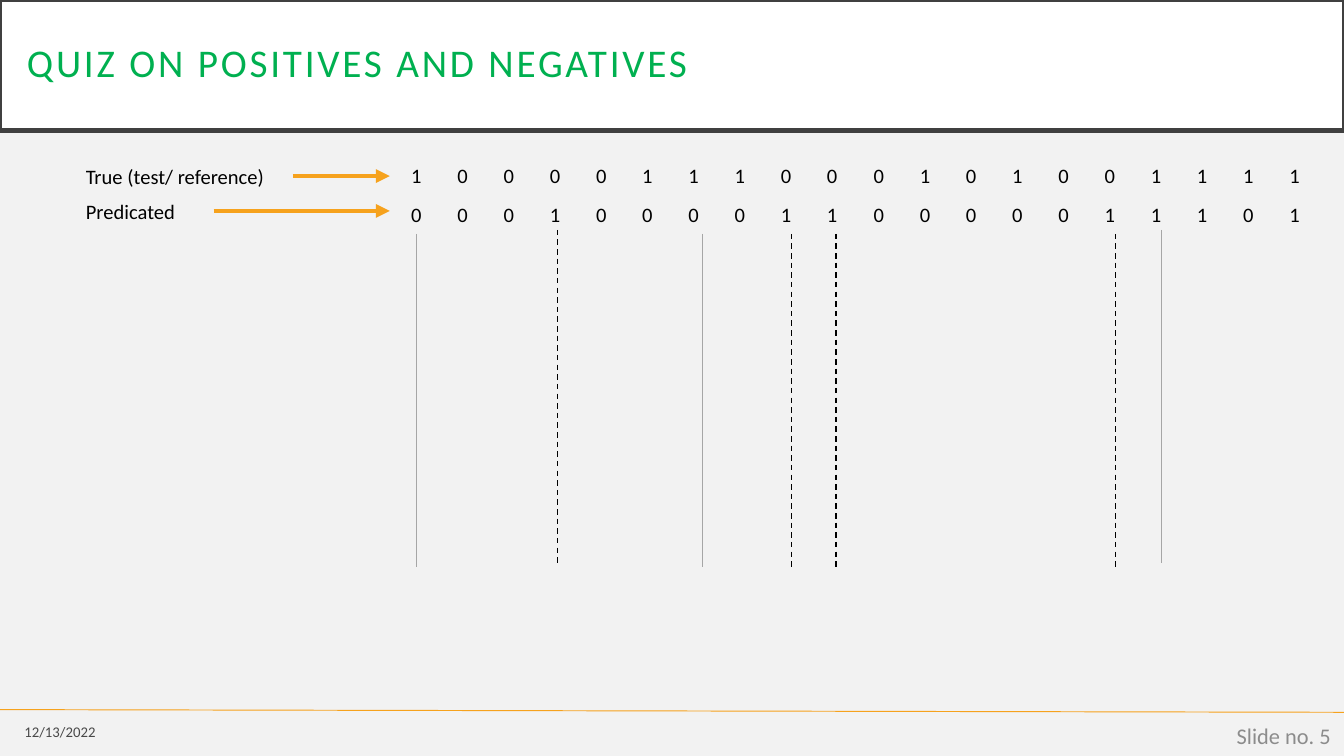
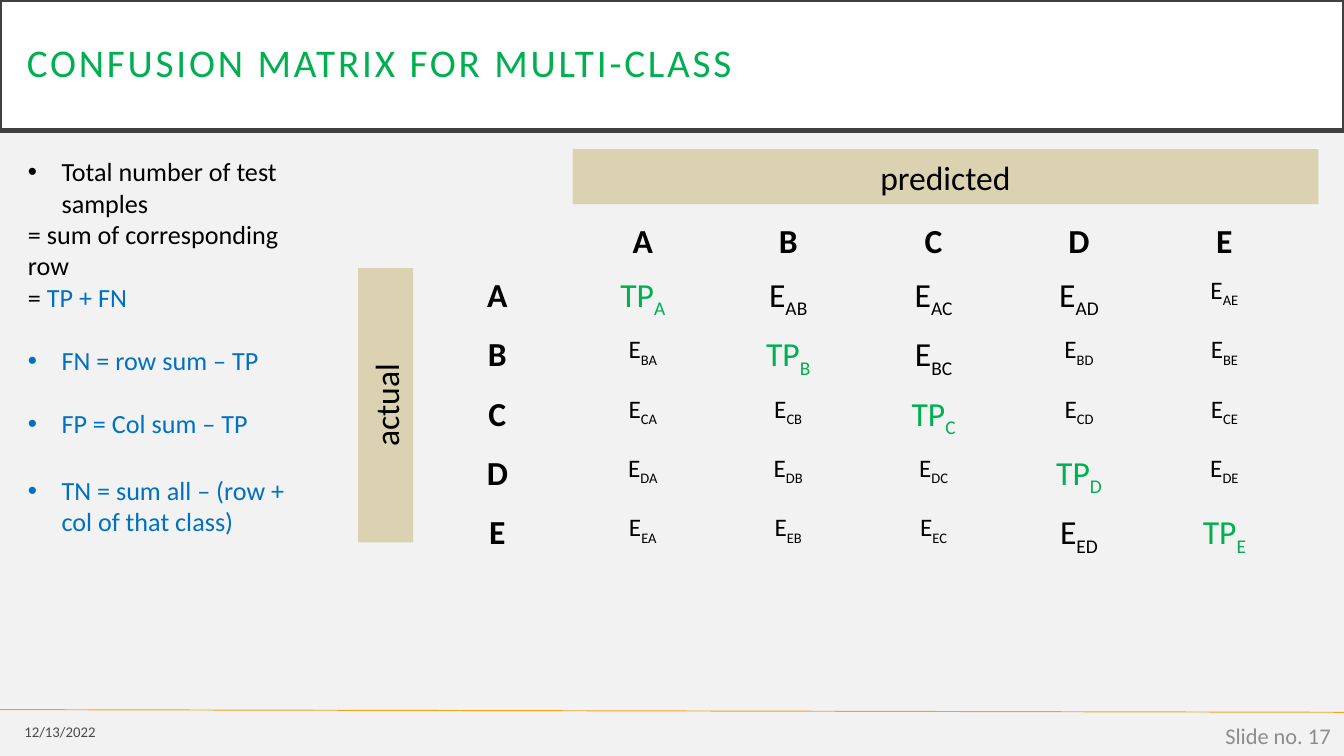
from lxml.etree import SubElement
from pptx import Presentation
from pptx.dml.color import RGBColor
from pptx.enum.dml import MSO_LINE
from pptx.enum.shapes import MSO_CONNECTOR, MSO_SHAPE
from pptx.enum.text import MSO_ANCHOR, MSO_AUTO_SIZE, PP_ALIGN
from pptx.oxml.ns import qn
from pptx.util import Inches, Pt

COLS, ROWS = 100, 56.25
UNIT = Inches(0.1)
FONT = "Calibri"
PLAIN = "{2D5ABB26-0587-4C30-8999-92F81FD0307C}"

BLACK = RGBColor(0x00, 0x00, 0x00)
WHITE = RGBColor(0xFF, 0xFF, 0xFF)
PAPER = RGBColor(0xF2, 0xF2, 0xF2)
FRAME = RGBColor(0x40, 0x40, 0x40)
GREEN = RGBColor(0x00, 0xB0, 0x50)
BLUE = RGBColor(0x00, 0x70, 0xC0)
AMBER = RGBColor(0xF6, 0xA2, 0x1D)
GREY = RGBColor(0xA6, 0xA6, 0xA6)
MUTED = RGBColor(0x8C, 0x8C, 0x8C)
SAND = RGBColor(0xDA, 0xD2, 0xB0)

TRUTH = "10000111000101001111"
GUESS = "00010000110000011101"
HALF = 10
DIGIT = 3.44
LABELS = [("True (test/ reference)", 11.7, 21.8, 13.1), ("Predicated", 14.3, 15.9, 15.7)]
SOLID = [(31, 17.4), (52.3, 17.4), (86.4, 17.1)]
DASHED = [(41.5, 17.1), (58.9, 17.4), (62.2, 17.4), (83, 17.4)]
DROP = 24.8

NAMES = "ABCDE"
LARGE = {"AB", "AC", "AD", "BC", "ED"}
NOTES = [
    (True, 0, [("Total number of test samples", BLACK)]),
    (False, 0, [("= sum of corresponding row", BLACK)]),
    (False, 0, [("= ", BLACK), ("TP + FN", BLUE)]),
    (True, 17, [("FN = row sum – TP", BLUE)]),
    (True, 17, [("FP = Col sum – TP", BLUE)]),
    (True, 19, [("TN = sum all – (row + col of that class)", BLUE)]),
]


def grid(*units):
    return [round(unit * UNIT) for unit in units]


def add_run(par, text, size, color=BLACK, bold=False, sub=False):
    run = par.add_run()
    run.text = text
    run.font.name = FONT
    run.font.size = Pt(size)
    run.font.bold = bold
    run.font.color.rgb = color
    if sub:
        run._r.get_or_add_rPr().set("baseline", "-25000")
    return run


def add_text(slide, box, text, size, color=BLACK, align=PP_ALIGN.LEFT, anchor=MSO_ANCHOR.TOP):
    frame = slide.shapes.add_textbox(*grid(*box)).text_frame
    frame.word_wrap = True
    frame.vertical_anchor = anchor
    par = frame.paragraphs[0]
    par.alignment = align
    return add_run(par, text, size, color)


def add_line(slide, start, end, color, width, dash=False, arrow=False):
    line = slide.shapes.add_connector(MSO_CONNECTOR.STRAIGHT, *grid(*start, *end))
    line.line.color.rgb = color
    line.line.width = Pt(width)
    if dash:
        line.line.dash_style = MSO_LINE.DASH
    if arrow:
        SubElement(line.line._get_or_add_ln(), qn("a:tailEnd"), type="triangle")
    SubElement(line._element.spPr, qn("a:effectLst"))


def add_band(slide, box, text, turn=0):
    band = slide.shapes.add_shape(MSO_SHAPE.RECTANGLE, *grid(*box))
    band.shadow.inherit = False
    band.fill.solid()
    band.fill.fore_color.rgb = SAND
    band.line.fill.background()
    band.rotation = turn
    par = band.text_frame.paragraphs[0]
    par.alignment = PP_ALIGN.CENTER
    add_run(par, text, 18)


def add_grid(slide, left, top, rows, cols, width, height):
    box = grid(left, top, cols * width, rows * height)
    table = slide.shapes.add_table(rows, cols, *box).table
    table.first_row = table.horz_banding = False
    table._tbl.tblPr.find(qn("a:tableStyleId")).text = PLAIN
    for col in table.columns:
        col.width = grid(width)[0]
    for row in table.rows:
        row.height = grid(height)[0]
    for cell in table.iter_cells():
        cell.fill.background()
    return table


def add_page(deck, title, number):
    slide = deck.slides.add_slide(deck.slide_layouts[5])
    add_line(slide, (0, 52.8), (COLS, 53), AMBER, 0.5)
    head = slide.shapes.title
    head.left, head.top, head.width, head.height = grid(0, 0, COLS, 9.7)
    head.fill.solid()
    head.fill.fore_color.rgb = WHITE
    head.line.color.rgb = FRAME
    head.line.width = Pt(2.5)
    frame = head.text_frame
    frame.auto_size = MSO_AUTO_SIZE.NONE
    frame.word_wrap = True
    frame.vertical_anchor = MSO_ANCHOR.MIDDLE
    frame.margin_left, frame.margin_top, frame.margin_right, frame.margin_bottom = grid(2, 2, 2, 2)
    par = frame.paragraphs[0]
    par.alignment = PP_ALIGN.LEFT
    par.line_spacing = 0.9
    run = add_run(par, title, 21, GREEN)
    run._r.get_or_add_rPr().set("spc", "150")
    date = add_text(slide, (0, 53.1, 8.1, 2.7), "12/13/2022", 7.9, BLACK,
                    PP_ALIGN.RIGHT, MSO_ANCHOR.MIDDLE)
    tint = date._r.rPr.find(qn("a:solidFill"))[0]
    SubElement(tint, qn("a:alpha"), val="70000")
    add_text(slide, (77.5, 53.2, 22.5, 3), f"Slide no. {number}", 12, MUTED,
             PP_ALIGN.RIGHT, MSO_ANCHOR.MIDDLE)
    return slide


def add_quiz(deck):
    slide = add_page(deck, "QUIZ ON POSITIVES AND NEGATIVES", 5)
    for start in range(0, len(TRUTH), HALF):
        table = add_grid(slide, 29.6 + start * DIGIT, 11.7, 2, HALF, DIGIT, 2.86)
        for row, digits in enumerate((TRUTH, GUESS)):
            for col, digit in enumerate(digits[start:start + HALF]):
                add_run(table.cell(row, col).text_frame.paragraphs[0], digit, 11)
    for text, top, tail, level in LABELS:
        add_text(slide, (5.4, top, 16.4, 2.9), text, 11)
        add_line(slide, (tail, level), (29, level), AMBER, 2.5, arrow=True)
    for left, top in SOLID:
        add_line(slide, (left, top), (left, top + DROP), GREY, 0.5)
    for left, top in DASHED:
        add_line(slide, (left, top), (left, top + DROP), BLACK, 0.75, dash=True)


def fill_cell(cell, row, col):
    par = cell.text_frame.paragraphs[0]
    par.alignment = PP_ALIGN.CENTER
    if not row or not col:
        add_run(par, NAMES[max(row, col) - 1], 18, bold=True)
        return
    actual, guess = NAMES[row - 1], NAMES[col - 1]
    if row == col:
        base, sub, size, color = "TP", actual, 18, GREEN
    else:
        base, sub, color = "E", actual + guess, BLACK
        size = 18 if sub in LARGE else 13.5
    add_run(par, base, size, color)
    add_run(par, sub, size, color, sub=True)


def add_notes(slide):
    frame = slide.shapes.add_textbox(*grid(1.1, 11.1, 23.6, 34.3)).text_frame
    frame.word_wrap = True
    for index, (bullet, gap, parts) in enumerate(NOTES):
        par = frame.add_paragraph() if index else frame.paragraphs[0]
        if bullet:
            props = par._p.get_or_add_pPr()
            props.set("marL", str(Inches(0.25)))
            props.set("indent", str(-Inches(0.25)))
            SubElement(props, qn("a:buFont"), typeface="Arial")
            SubElement(props, qn("a:buChar"), char="•")
        if gap:
            par.space_before = Pt(gap)
        for text, color in parts:
            add_run(par, text, 14, color)


def add_matrix(deck):
    slide = add_page(deck, "CONFUSION MATRIX FOR MULTI-CLASS", 17)
    side = len(NAMES) + 1
    table = add_grid(slide, 31.6, 16, side, side, 10.82, 3.85)
    for row in range(side):
        for col in range(side):
            if row or col:
                fill_cell(table.cell(row, col), row, col)
    add_band(slide, (42.6, 11.1, 55.5, 4.1), "predicted")
    add_band(slide, (18.5, 28.1, 20.4, 4.1), "actual", 270)
    add_notes(slide)


def main():
    deck = Presentation()
    deck.slide_width, deck.slide_height = grid(COLS, ROWS)
    back = deck.slide_master.background.fill
    back.solid()
    back.fore_color.rgb = PAPER
    add_quiz(deck)
    add_matrix(deck)
    deck.save("out.pptx")


if __name__ == "__main__":
    main()
